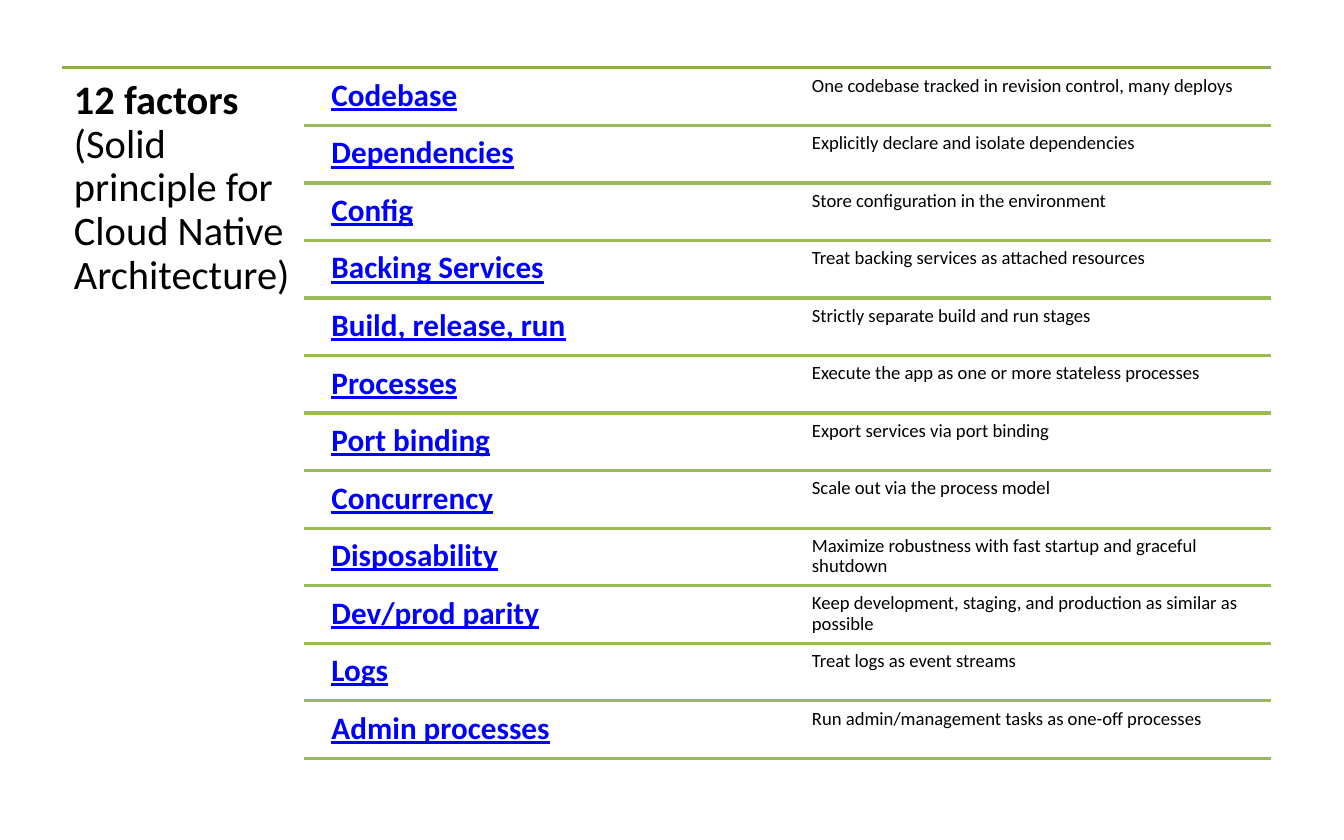
from lxml import etree
from pptx import Presentation
from pptx.dml.color import RGBColor
from pptx.enum.shapes import MSO_CONNECTOR
from pptx.enum.text import MSO_ANCHOR, MSO_AUTO_SIZE, PP_ALIGN
from pptx.oxml.ns import qn
from pptx.util import Inches, Pt

COLORS = {"top_rule": "8DAA51", "rule": "9BBB59", "factor": "0000FF", "text": "000000"}

FACTORS = [
    ("Codebase", "One codebase tracked in revision control, many deploys"),
    ("Dependencies", "Explicitly declare and isolate dependencies"),
    ("Config", "Store configuration in the environment"),
    ("Backing Services", "Treat backing services as attached resources"),
    ("Build, release, run", "Strictly separate build and run stages"),
    ("Processes", "Execute the app as one or more stateless processes"),
    ("Port binding", "Export services via port binding"),
    ("Concurrency", "Scale out via the process model"),
    ("Disposability", "Maximize robustness with fast startup and graceful shutdown"),
    ("Dev/prod parity", "Keep development, staging, and production as similar as possible"),
    ("Logs", "Treat logs as event streams"),
    ("Admin processes", "Run admin/management tasks as one-off processes"),
]

LEFT, RIGHT, TOP = 0.55, 11.35, 0.6
RULE_LEFT, FACTOR_LEFT, DETAIL_LEFT = 2.71, 2.88, 7.2
FIRST_ROW, LAST_ROW = 0.63, 6.28
COLUMN_W, ROW_H = 4.16, 0.49
ROW_STEP = (LAST_ROW - FIRST_ROW) / (len(FACTORS) - 1)


def add_rule(left, y, color):
    line = s.shapes.add_connector(
        MSO_CONNECTOR.STRAIGHT, Inches(left), Inches(y), Inches(RIGHT), Inches(y))
    line.line.color.rgb = RGBColor.from_string(COLORS[color])
    line.line.width = Pt(2)
    etree.SubElement(line._element.spPr, qn("a:effectLst"))


def write_text(sp, inset, size, color, runs):
    """Fill a shape with one left-aligned paragraph of (text, bold, underline) runs."""
    tf = sp.text_frame
    tf.word_wrap = True
    tf.auto_size = MSO_AUTO_SIZE.NONE
    tf.vertical_anchor = MSO_ANCHOR.TOP
    tf.margin_left = tf.margin_right = tf.margin_top = tf.margin_bottom = Inches(inset)
    p = tf.paragraphs[0]
    p.alignment = PP_ALIGN.LEFT
    p.line_spacing = 0.9
    for text, bold, underline in runs:
        r = p.add_run()
        r.text = text
        r.font.name = "Calibri"
        r.font.size = Pt(size)
        r.font.bold = bold
        r.font.underline = underline
        r.font.color.rgb = RGBColor.from_string(COLORS[color])


prs = Presentation()
prs.slide_width, prs.slide_height = Inches(12), Inches(7.5)
s = prs.slides.add_slide(prs.slide_layouts[5])

# Title column
add_rule(LEFT, TOP, "top_rule")
title = s.shapes.title
title.left, title.top = Inches(LEFT), Inches(TOP)
title.width, title.height = Inches(2.16), Inches(6.2)
write_text(title, 0.11, 26, "text", [
    ("12 factors ", True, False),
    ("(Solid principle for Cloud Native Architecture)", False, False),
])

# One ruled row per factor
for i, (factor, detail) in enumerate(FACTORS):
    y = FIRST_ROW + i * ROW_STEP
    for left, inset, size, color, run in (
        (FACTOR_LEFT, 0.08, 20, "factor", (factor, True, True)),
        (DETAIL_LEFT, 0.05, 12, "text", (detail, False, False)),
    ):
        sp = s.shapes.add_textbox(Inches(left), Inches(y), Inches(COLUMN_W), Inches(ROW_H))
        write_text(sp, inset, size, color, [run])
    add_rule(RULE_LEFT, y + ROW_H, "rule")

prs.save("out.pptx")
